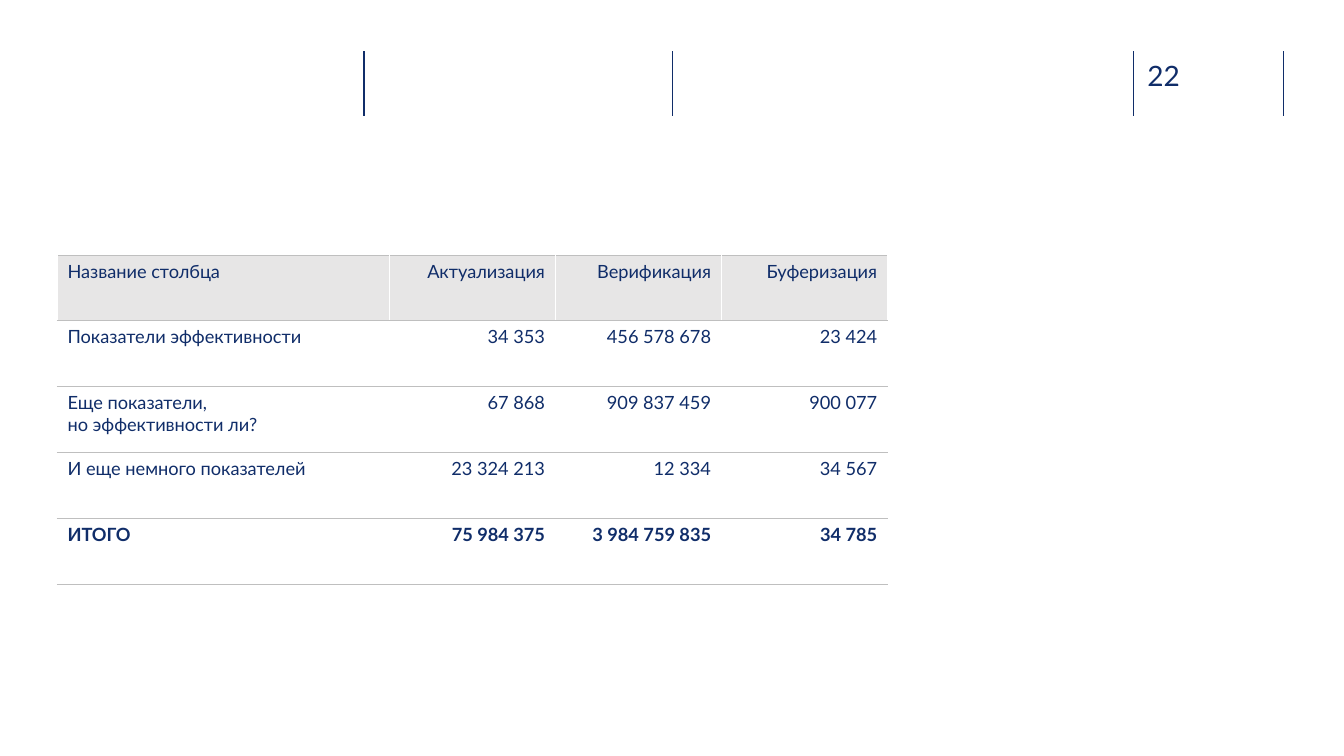
from copy import deepcopy
from dataclasses import dataclass

from lxml import etree
from pptx import Presentation
from pptx.dml.color import RGBColor
from pptx.enum.shapes import MSO_CONNECTOR
from pptx.enum.text import PP_ALIGN
from pptx.oxml.ns import qn
from pptx.util import Inches, Pt

STRAIGHT = MSO_CONNECTOR.STRAIGHT
LEFT, RIGHT = PP_ALIGN.LEFT, PP_ALIGN.RIGHT


@dataclass(frozen=True)
class Theme:
    font: str = "Lato"
    navy: str = "102D69"
    header_fill: str = "E7E6E6"
    row_rule: str = "BFBFBF"
    column_rule: str = "FFFFFF"
    table_size: float = 13
    number_size: float = 20
    divider_width: float = 1
    row_rule_width: float = 0.75
    column_rule_width: float = 0.25


THEME = Theme()
BLANK_LAYOUT = 6
PAGE_NUMBER = "22"
COLUMN_WIDTHS = (3.29, 1.65, 1.65, 1.65)
ROWS = (
    ("Название столбца", "Актуализация", "Верификация", "Буферизация"),
    ("Показатели эффективности", "34 353", "456 578 678", "23 424"),
    ("Еще показатели, \vно эффективности ли?", "67 868", "909 837 459", "900 077"),
    ("И еще немного показателей", "23 324 213", "12 334", "34 567"),
    ("ИТОГО", "75 984 375", "3 984 759 835", "34 785"),
)


def write_text(text_frame, text, size, bold=False, align=LEFT):
    """Fill the first paragraph; a vertical tab is a line break."""
    paragraph = text_frame.paragraphs[0]
    paragraph.text = text
    paragraph.alignment = align
    for run in paragraph.runs:
        run.font.name = THEME.font
        run.font.size = Pt(size)
        run.font.bold = bold
        run.font.color.rgb = RGBColor.from_string(THEME.navy)
    # Line breaks take the format of the text, so line heights stay equal
    for line_break in paragraph._p.findall(qn("a:br")):
        line_break.append(deepcopy(paragraph.runs[0].font._element))


def set_border(cell, side, color, width):
    properties = cell._tc.get_or_add_tcPr()
    line = etree.SubElement(properties, qn(f"a:ln{side}"), w=str(Pt(width)))
    fill = etree.SubElement(line, qn("a:solidFill"))
    etree.SubElement(fill, qn("a:srgbClr"), val=color)


def add_divider(slide, x, top, height):
    divider = slide.shapes.add_connector(
        STRAIGHT, Inches(x), Inches(top), Inches(x), Inches(top + height))
    divider.line.color.rgb = RGBColor.from_string(THEME.navy)
    divider.line.width = Pt(THEME.divider_width)
    etree.SubElement(divider._element.spPr, qn("a:effectLst"))


def add_header(slide, left, top, width, height):
    # Dividers, from the first one to the right edge
    for offset in (0, 3.06, 7.63, width):
        add_divider(slide, left + offset, top, height)

    # Page number
    number = slide.shapes.add_textbox(
        Inches(left + 7.77), Inches(top + 0.07), Inches(0.73), Inches(0.34))
    frame = number.text_frame
    frame.word_wrap = True
    frame.margin_left = frame.margin_right = 0
    frame.margin_top = frame.margin_bottom = 0
    write_text(frame, PAGE_NUMBER, THEME.number_size)


def add_indicator_table(slide, left, top, width, height):
    table = slide.shapes.add_table(
        len(ROWS), len(COLUMN_WIDTHS),
        Inches(left), Inches(top), Inches(width), Inches(height)).table
    table.first_row = table.horz_banding = False
    for column, column_width in zip(table.columns, COLUMN_WIDTHS):
        column.width = Inches(column_width * width / sum(COLUMN_WIDTHS))

    last_row, last_column = len(ROWS) - 1, len(COLUMN_WIDTHS) - 1
    for row_index, values in enumerate(ROWS):
        for column_index, value in enumerate(values):
            cell = table.cell(row_index, column_index)
            write_text(cell.text_frame, value, THEME.table_size,
                       bold=row_index == last_row,
                       align=RIGHT if column_index else LEFT)

            # Grey rules between rows, white ones between columns
            if column_index > 0:
                set_border(cell, "L", THEME.column_rule, THEME.column_rule_width)
            if column_index < last_column:
                set_border(cell, "R", THEME.column_rule, THEME.column_rule_width)
            for side in "TB":
                set_border(cell, side, THEME.row_rule, THEME.row_rule_width)

            if row_index == 0:
                cell.fill.solid()
                cell.fill.fore_color.rgb = RGBColor.from_string(THEME.header_fill)
            else:
                cell.fill.background()


def main():
    presentation = Presentation()
    presentation.slide_width = Inches(13.33)
    presentation.slide_height = Inches(7.5)
    slide = presentation.slides.add_slide(presentation.slide_layouts[BLANK_LAYOUT])
    add_header(slide, left=3.61, top=0.51, width=9.12, height=0.64)
    add_indicator_table(slide, left=0.57, top=2.53, width=8.23, height=3.27)
    presentation.save("out.pptx")


if __name__ == "__main__":
    main()
